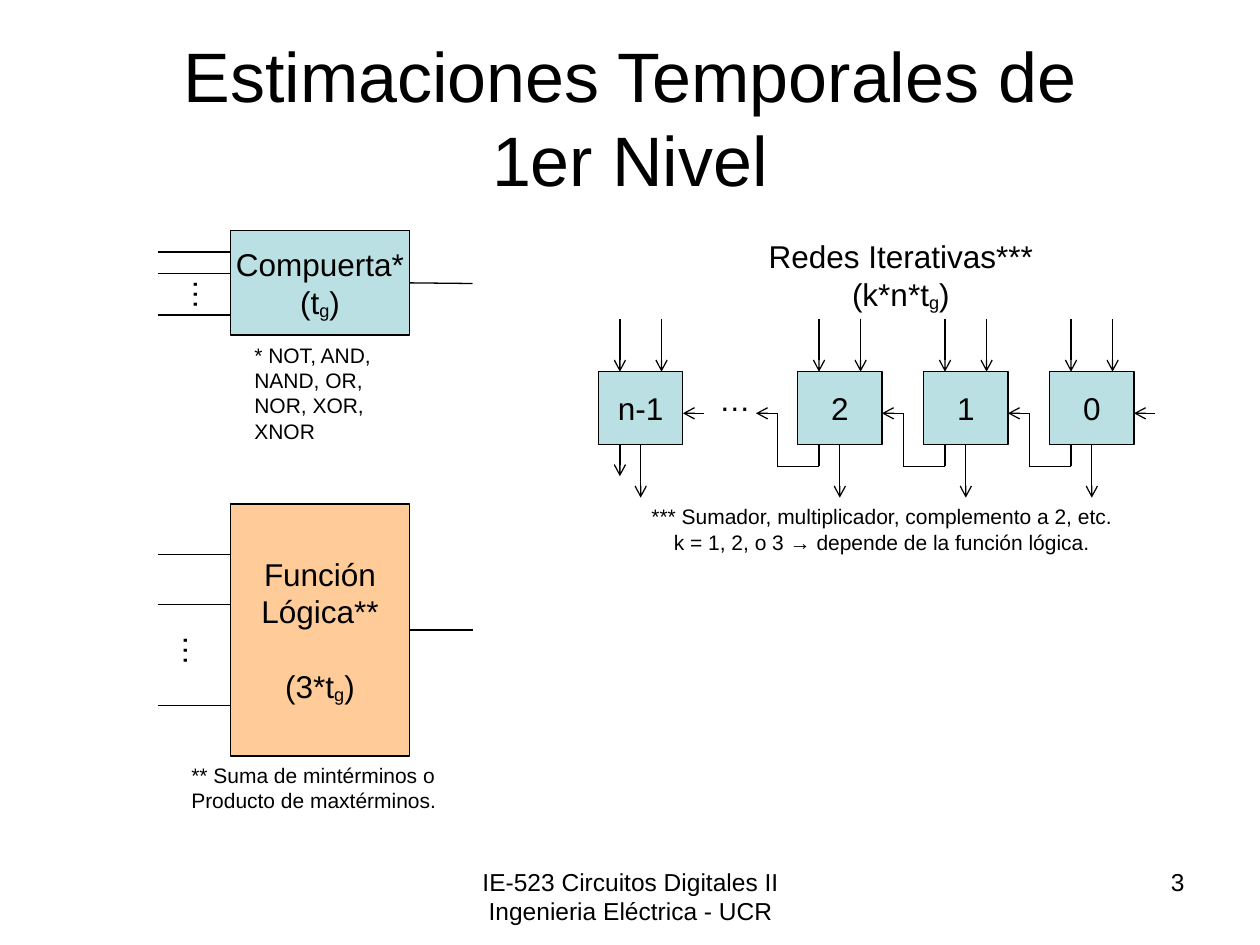
from itertools import pairwise

from lxml import etree
from pptx import Presentation
from pptx.dml.color import RGBColor
from pptx.enum import shapes, text
from pptx.oxml.ns import qn
from pptx.util import Inches, Pt

COLORS = {"ink": "000000", "blue": "BBE0E3", "orange": "FFCC99"}
LEFT, CENTER, RIGHT = text.PP_ALIGN.LEFT, text.PP_ALIGN.CENTER, text.PP_ALIGN.RIGHT
BOTTOM_SIDE, RIGHT_SIDE = 2, 3


def color(name):
    return RGBColor.from_string(COLORS[name])


class Diagram:
    """Holds the style and the slide being drawn."""

    font_name = "Arial"
    line_width = Pt(0.75)

    def __init__(self, slide):
        self.slide = slide

    def fill_text(self, frame, lines, size, align):
        """Fill a frame, one paragraph per line; a tuple is (base, subscript, rest)."""
        for index, line in enumerate(lines):
            paragraph = frame.paragraphs[0] if index == 0 else frame.add_paragraph()
            paragraph.alignment = align
            paragraph.font.name = self.font_name
            paragraph.font.size = Pt(size)
            paragraph.font.color.rgb = color("ink")
            if isinstance(line, str):
                paragraph.text = line
                continue
            for part in line:
                paragraph.add_run().text = part
            paragraph.runs[1].font._element.set("baseline", "-10000")

    def title(self, content, left, top, width, height):
        shape = self.slide.shapes.title
        shape.left, shape.top = Inches(left), Inches(top)
        shape.width, shape.height = Inches(width), Inches(height)
        frame = shape.text_frame
        frame.auto_size = text.MSO_AUTO_SIZE.NONE
        frame.vertical_anchor = text.MSO_ANCHOR.MIDDLE
        self.fill_text(frame, [content], 40, CENTER)

    def label(self, lines, left, top, width, height, size=12, align=LEFT,
              rotation=0, wrap=True):
        shape = self.slide.shapes.add_textbox(
            Inches(left), Inches(top), Inches(width), Inches(height))
        shape.rotation = rotation
        shape.text_frame.word_wrap = wrap
        self.fill_text(shape.text_frame, lines, size, align)

    def block(self, lines, left, top, width, height, fill="blue"):
        shape = self.slide.shapes.add_shape(
            shapes.MSO_SHAPE.RECTANGLE,
            Inches(left), Inches(top), Inches(width), Inches(height))
        shape.shadow.inherit = False
        shape.fill.solid()
        shape.fill.fore_color.rgb = color(fill)
        shape.line.color.rgb = color("ink")
        shape.line.width = self.line_width
        shape.text_frame.word_wrap = False
        shape.text_frame.vertical_anchor = text.MSO_ANCHOR.MIDDLE
        self.fill_text(shape.text_frame, lines, 18, CENTER)
        return shape

    def wire(self, start, end, arrow=False, source=None, side=None):
        """Draw a straight wire, joined to a side of source if one is given."""
        connector = self.slide.shapes.add_connector(
            shapes.MSO_CONNECTOR.STRAIGHT, *map(Inches, (*start, *end)))
        connector.line.color.rgb = color("ink")
        connector.line.width = self.line_width
        if arrow:
            line = connector.line._get_or_add_ln()
            etree.SubElement(line, qn("a:tailEnd"), type="arrow")
        etree.SubElement(connector._element.spPr, qn("a:effectLst"))
        if source is not None:
            connector.begin_connect(source, side)

    def route(self, points):
        """Draw a bent wire whose last segment carries the arrowhead."""
        for start, end in pairwise(points):
            self.wire(start, end, arrow=end == points[-1])


def draw_gate(diagram):
    gate = diagram.block(["Compuerta*", ("(t", "g", ")")], 1.83, 1.83, 1.42, 0.83)
    for y in (2, 2.17, 2.5):
        diagram.wire((1.25, y), (1.83, y))
    diagram.label(["…"], 1.14, 2.04, 0.65, 0.4, size=18, rotation=270)
    diagram.wire((3.25, 2.25), (3.75, 2.25), source=gate, side=RIGHT_SIDE)
    diagram.label(["* NOT, AND, NAND, OR, NOR, XOR, XNOR"], 1.92, 2.67, 1.18, 0.9)


def draw_logic_function(diagram):
    function = diagram.block(["Función", "Lógica**", ("(3*t", "g", ")")],
                             1.83, 4, 1.42, 2, fill="orange")
    function.text_frame.paragraphs[-1].space_before = Pt(21)
    for y in (4.4, 4.8, 5.6):
        diagram.wire((1.25, y), (1.83, y))
    diagram.label(["…"], 0.61, 4.41, 1.55, 0.4, size=18, rotation=270)
    diagram.wire((3.25, 5), (3.75, 5), source=function, side=RIGHT_SIDE)
    diagram.label(["** Suma de mintérminos o Producto de maxtérminos."],
                  1.42, 6, 2.17, 0.5)


def draw_iterative_network(diagram):
    top, bottom, carry_y, bend_y = 2.95, 3.53, 3.28, 3.7
    width = 0.67
    cells = {"n-1": 4.75, "2": 6.33, "1": 7.33, "0": 8.33}
    for name, x in cells.items():
        cell = diagram.block([name], x, top, width, bottom - top)
        for offset in (0.17, 0.5):
            diagram.wire((x + offset, 2.53), (x + offset, top), arrow=True)
        diagram.wire((x + width / 2, bottom), (x + width / 2, 3.95), arrow=True,
                     source=cell, side=BOTTOM_SIDE)
        carry_x = x + 0.17
        if name == "n-1":
            diagram.wire((carry_x, bottom), (carry_x, 3.78), arrow=True)
        else:
            bend_x = x - 0.16
            diagram.route([(carry_x, bottom), (carry_x, bend_y), (bend_x, bend_y),
                           (bend_x, carry_y), (x - 0.33, carry_y)])
    for name in ("n-1", "0"):
        edge = cells[name] + width
        diagram.wire((edge + 0.17, carry_y), (edge, carry_y), arrow=True)
    diagram.label(["…"], 5.61, 2.97, 0.48, 0.4, size=18)
    diagram.label(["Redes Iterativas***", ("(k*n*t", "g", ")")],
                  6, 1.83, 2.3, 0.71, size=18, align=CENTER, wrap=False)
    diagram.label(["*** Sumador, multiplicador, complemento a 2, etc.",
                   "k = 1, 2, o 3 → depende de la función lógica."],
                  5, 3.95, 4, 0.5, align=CENTER)


def main():
    presentation = Presentation()
    presentation.slide_width, presentation.slide_height = Inches(10), Inches(7.5)
    title_only = presentation.slide_layouts[5]
    diagram = Diagram(presentation.slides.add_slide(title_only))
    diagram.title("Estimaciones Temporales de\v1er Nivel", 0.5, 0.3, 9, 1.25)
    draw_gate(diagram)
    draw_logic_function(diagram)
    draw_iterative_network(diagram)
    diagram.label(["IE-523 Circuitos Digitales II Ingenieria Eléctrica - UCR"],
                  3.42, 6.83, 3.17, 0.52, size=14, align=CENTER)
    diagram.label(["3"], 7.17, 6.83, 2.33, 0.52, size=14, align=RIGHT)
    presentation.save("out.pptx")


if __name__ == "__main__":
    main()
